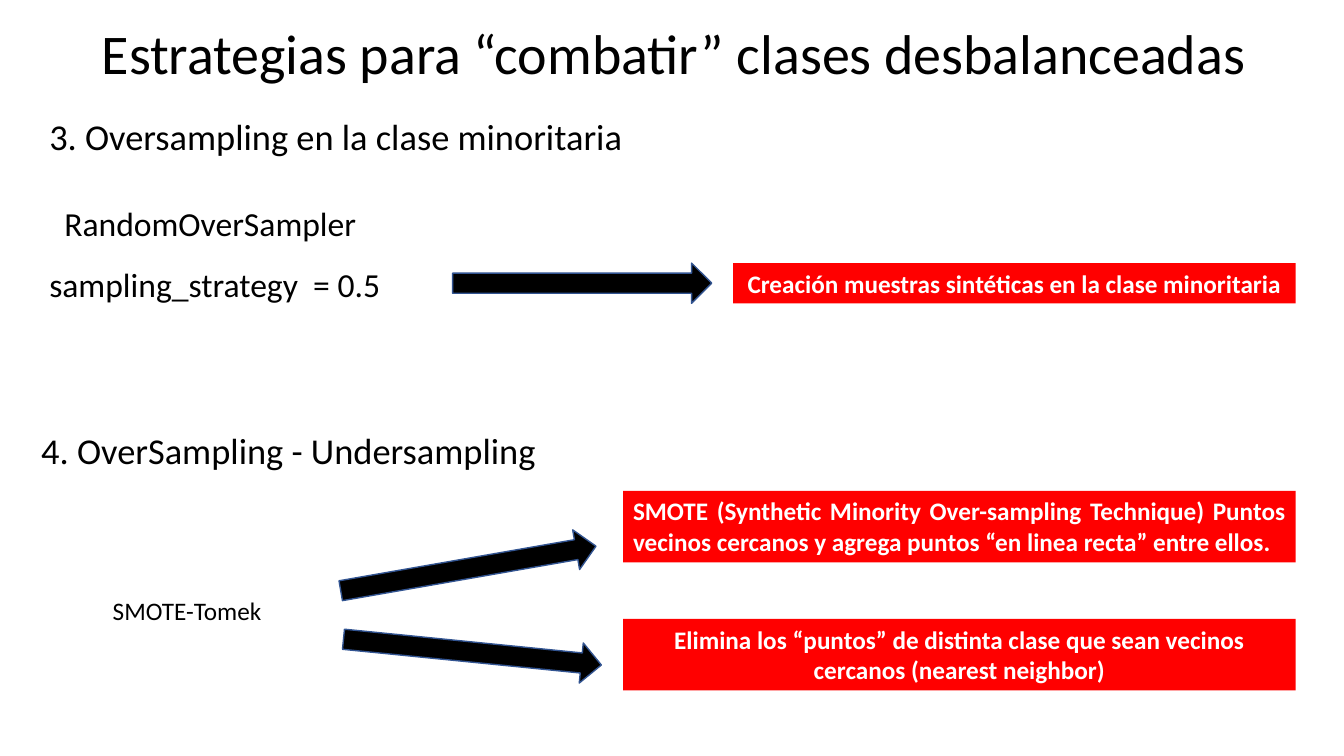
from dataclasses import dataclass
from pptx import Presentation
from pptx.dml.color import RGBColor
from pptx.enum.shapes import MSO_SHAPE as Shape
from pptx.enum.text import MSO_ANCHOR as Anchor, PP_ALIGN as Align
from pptx.util import Inches, Pt


@dataclass(frozen=True)
class Theme:
    font: str = "Calibri"
    ink: RGBColor = RGBColor(0, 0, 0)
    paper: RGBColor = RGBColor(255, 255, 255)
    accent: RGBColor = RGBColor(255, 0, 0)
    outline: RGBColor = RGBColor(0x32, 0x54, 0x91)
    title: int = 40
    heading: int = 26
    code: int = 24
    body: int = 18


THEME = Theme()

# Positions and sizes are percentages of the slide: left, top, width, height.
TITLE = ("Estrategias para “combatir” clases desbalanceadas", (6.83, 2.8, 92.35, 9.33))
LABELS = [
    ("3. Oversampling en la clase minoritaria", (2.93, 14.4, 44.94, 7.2), THEME.heading),
    ("RandomOverSampler", (4.05, 26.13, 48.91, 6.67), THEME.code),
    ("sampling_strategy  = 0.5", (2.93, 34.27, 27.91, 6.67), THEME.code),
    ("4. OverSampling - Undersampling", (2.33, 56, 39.38, 7.2), THEME.heading),
    ("SMOTE-Tomek", (7.65, 78.13, 21.61, 5.33), THEME.body),
]
CALLOUTS = [
    ("Creación muestras sintéticas en la clase minoritaria",
     (54.54, 34.8, 41.86, 5.33), Align.CENTER),
    ("SMOTE (Synthetic Minority Over-sampling Technique) Puntos vecinos cercanos "
     "y agrega puntos “en linea recta” entre ellos.",
     (46.36, 64.93, 50.04, 9.47), Align.JUSTIFY),
    ("Elimina los “puntos” de distinta clase que sean vecinos cercanos (nearest neighbor)",
     (46.36, 81.87, 50.04, 9.47), Align.CENTER),
]
ARROW_SIZE = (19.28, 5.33)
ARROWS = [((33.68, 34.8), 0), ((25.21, 72.53), -9.9), ((25.51, 83.6), 5.7)]

deck = Presentation()
deck.slide_width, deck.slide_height = Inches(13.33), Inches(7.5)
page = deck.slides.add_slide(deck.slide_layouts[6])


def place(area):
    sides = (deck.slide_width, deck.slide_height) * 2
    return [round(side * share / 100) for side, share in zip(sides, area)]


def write(box, text, size, color=THEME.ink, align=Align.LEFT, bold=False, anchor=Anchor.TOP):
    frame = box.text_frame
    frame.word_wrap = True
    frame.vertical_anchor = anchor
    para = frame.paragraphs[0]
    para.text = text
    para.alignment = align
    para.font.name = THEME.font
    para.font.size = Pt(size)
    para.font.bold = bold
    para.font.color.rgb = color
    return para


def add_block(kind, area, color):
    block = page.shapes.add_shape(kind, *place(area))
    block.shadow.inherit = False
    block.fill.solid()
    block.fill.fore_color.rgb = color
    return block


title, title_area = TITLE
title_box = page.shapes.add_textbox(*place(title_area))
write(title_box, title, THEME.title, anchor=Anchor.MIDDLE).line_spacing = 0.9

for text, area, size in LABELS:
    write(page.shapes.add_textbox(*place(area)), text, size)

for text, area, align in CALLOUTS:
    callout = add_block(Shape.RECTANGLE, area, THEME.accent)
    callout.line.fill.background()
    write(callout, text, THEME.body, THEME.paper, align, bold=True)

for corner, angle in ARROWS:
    arrow = add_block(Shape.RIGHT_ARROW, corner + ARROW_SIZE, THEME.ink)
    arrow.line.color.rgb = THEME.outline
    arrow.line.width = Pt(1)
    arrow.rotation = angle

deck.save("out.pptx")
